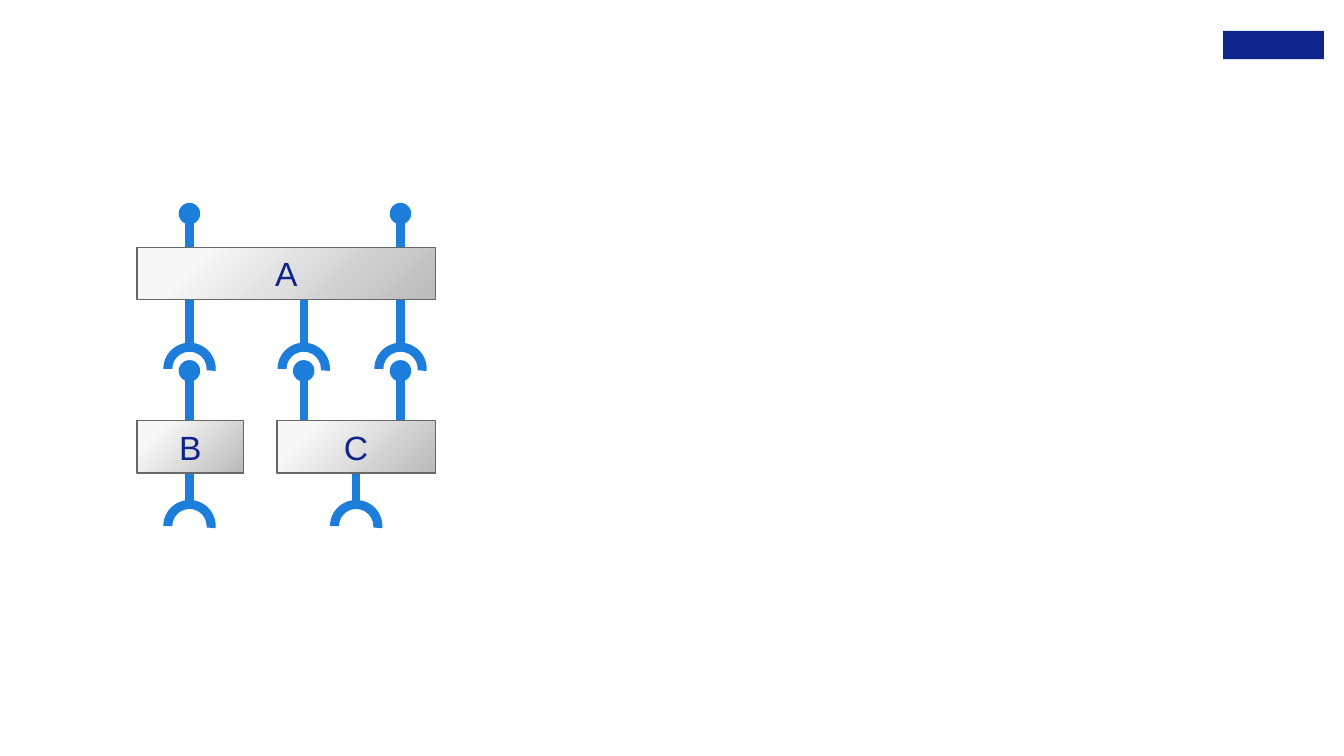
from pptx import Presentation
from pptx.dml.color import RGBColor
from pptx.enum.shapes import MSO_CONNECTOR, MSO_SHAPE
from pptx.enum.text import MSO_ANCHOR, PP_ALIGN
from pptx.oxml.ns import qn
from pptx.util import Inches, Pt
from lxml import etree

COLORS = {"port": "1C7DDB", "text": "0F238C", "border": "676767",
          "light": "F7F7F7", "dark": "BABABA", "brand": "0F238D"}
BALL, ARC, BOX_H = 0.16, 0.39, 0.39
LEFT, MIDDLE, RIGHT, C_CENTER = 1.41, 2.26, 2.98, 2.65  # port centre lines


def rgb(name):
    return RGBColor.from_string(COLORS[name])


def add_solid(slide, kind, x, y, w, h, color):
    sp = slide.shapes.add_shape(kind, Inches(x), Inches(y), Inches(w), Inches(h))
    sp.shadow.inherit = False
    sp.fill.solid()
    sp.fill.fore_color.rgb = rgb(color)
    sp.line.fill.background()
    return sp


def add_stem(slide, cx, top, bottom):
    stem = slide.shapes.add_connector(MSO_CONNECTOR.STRAIGHT, Inches(cx), Inches(bottom),
                                      Inches(cx), Inches(top))
    stem.line.color.rgb = rgb("port")
    stem.line.width = Pt(4.5)
    etree.SubElement(stem._element.spPr, qn("a:effectLst"))


def add_provided(slide, cx, top, bottom):
    """Ball on a stem: an interface the component offers."""
    add_solid(slide, MSO_SHAPE.OVAL, cx - BALL / 2, top, BALL, BALL, "port")
    add_stem(slide, cx, top + 0.12, bottom)


def add_required(slide, cx, top, arc_top):
    """Socket under a stem: an interface the component needs."""
    arc = add_solid(slide, MSO_SHAPE.BLOCK_ARC, cx - ARC / 2, arc_top, ARC, ARC, "port")
    for i, value in enumerate((108, 2.691, 0.172)):
        arc.adjustments[i] = value
    add_stem(slide, cx, top, arc_top + 0.02)


def add_component(slide, label, x, y, w):
    sp = add_solid(slide, MSO_SHAPE.RECTANGLE, x, y, w, BOX_H, "light")
    sp.fill.gradient()
    sp.fill.gradient_angle = 315
    for stop, (position, color) in zip(sp.fill.gradient_stops, ((0.2, "light"), (1, "dark"))):
        stop.position = position
        stop.color.rgb = rgb(color)
    sp.line.color.rgb = rgb("border")
    sp.line.width = Pt(0.75)

    tf = sp.text_frame
    frame_format = {"margin_left": 0, "margin_right": 0, "margin_top": 0,
                    "margin_bottom": 0, "vertical_anchor": MSO_ANCHOR.MIDDLE}
    for name, value in frame_format.items():
        setattr(tf, name, value)
    p = tf.paragraphs[0]
    p.alignment = PP_ALIGN.CENTER
    r = p.add_run()
    r.text = label
    for name, value in {"name": "Arial", "size": Pt(18)}.items():
        setattr(r.font, name, value)
    r.font.color.rgb = rgb("text")


def add_component_diagram(slide, x, y, w):
    """Component A on top of B and C, joined by their ports."""
    upper, lower = y + 0.33, y + 1.62  # tops of the two rows of components
    joint = y + 1.04                   # top of the sockets between the rows

    # Ports go behind the components
    for cx in (LEFT, RIGHT):
        add_provided(slide, cx, y, upper + 0.03)
    for cx in (LEFT, MIDDLE, RIGHT):
        add_required(slide, cx, upper + BOX_H, joint)
        add_provided(slide, cx, joint + 0.13, lower + 0.03)
    for cx in (LEFT, C_CENTER):
        add_required(slide, cx, lower + BOX_H - 0.11, lower + 0.59)

    # Components
    add_component(slide, "A", x, upper, w)
    add_component(slide, "B", x, lower, 0.79)
    add_component(slide, "C", x + w - 1.18, lower, 1.18)


def main():
    prs = Presentation()
    prs.slide_width, prs.slide_height = Inches(10), Inches(10 * 9 / 16)
    slide = prs.slides.add_slide(prs.slide_layouts[6])
    # Plain brand mark in the corner
    add_solid(slide, MSO_SHAPE.RECTANGLE, 9.1, 0.23, 0.75, 0.21, "brand")
    add_component_diagram(slide, 1.02, 1.51, 2.22)
    prs.save("out.pptx")


if __name__ == "__main__":
    main()
